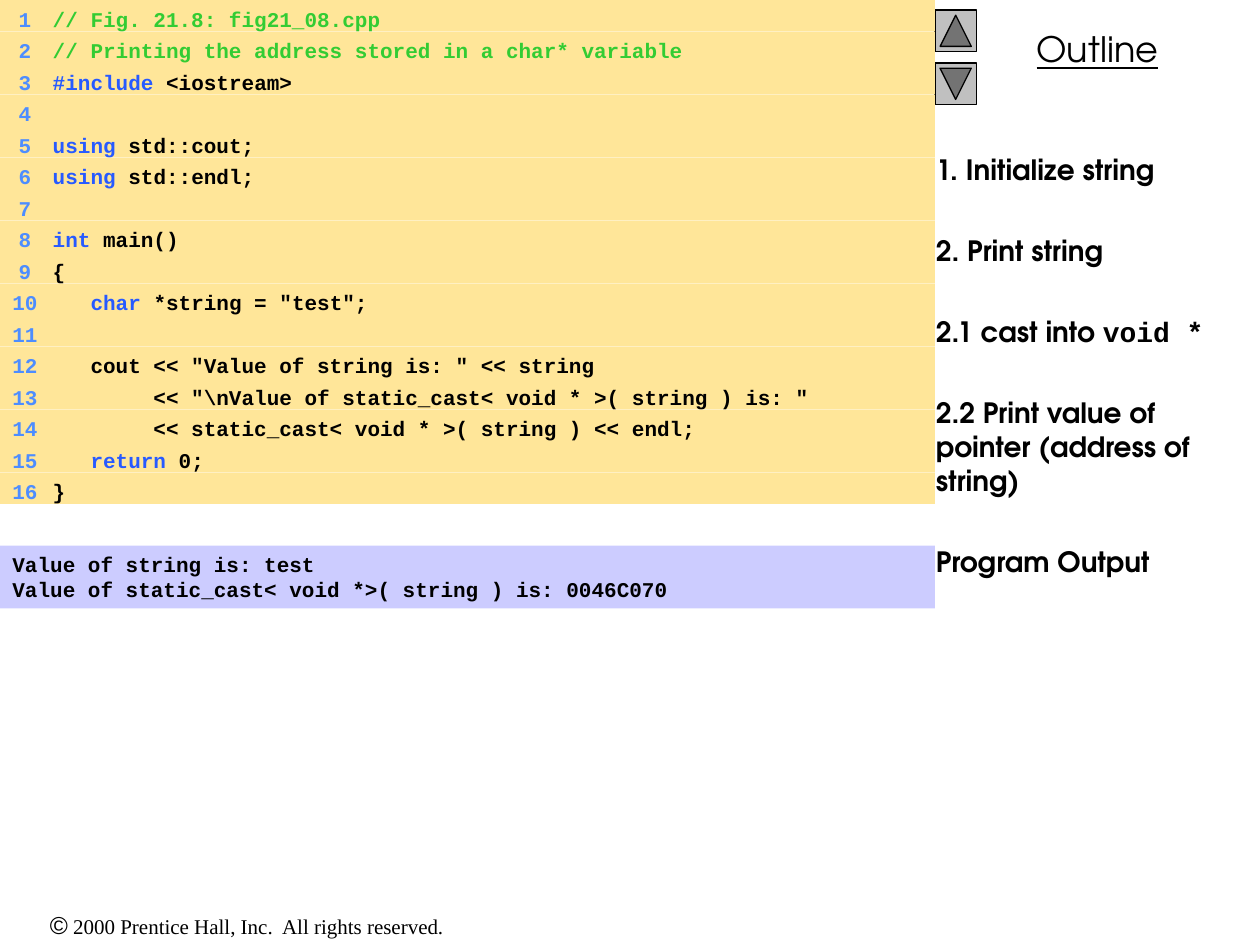
from lxml import etree
from pptx import Presentation
from pptx import util as u
from pptx.dml.color import RGBColor
from pptx.enum import shapes, text
from pptx.oxml.ns import qn

HEADING, CODE, SERIF, SANS = "TeX Gyre Adventor", "Courier New", "Times New Roman", "Arial"
BLACK, NUMBER, KEYWORD, COMMENT = "000000", "4D8DFF", "275AFF", "33CC33"
CODE_FILL, OUTPUT_FILL, BUTTON_FILL = "FFE699", "CCCCFF", "C0C0C0"
PANEL_WIDTH, ROW_HEIGHT = 7.42, 0.25

CODE_LINES = [
    [("// Fig. 21.8: fig21_08.cpp", COMMENT)],
    [("// Printing the address stored in a char* variable", COMMENT)],
    [("#include", KEYWORD), (" <iostream>", BLACK)],
    [],
    [("using", KEYWORD), (" std::cout;", BLACK)],
    [("using", KEYWORD), (" std::endl;", BLACK)],
    [],
    [("int", KEYWORD), (" main()", BLACK)],
    [("{", BLACK)],
    [("   char", KEYWORD), (' *string = "test";', BLACK)],
    [],
    [('   cout << "Value of string is: " << string', BLACK)],
    [('        << "\\nValue of static_cast< void * >( string ) is: "', BLACK)],
    [("        << static_cast< void * >( string ) << endl;", BLACK)],
    [("   return", KEYWORD), (" 0;", BLACK)],
    [("}", BLACK)],
]
OUTPUT_LINES = [
    "Value of string is: test",
    "Value of static_cast< void *>( string ) is: 0046C070",
]
OUTLINE = [
    [("1. Initialize string", HEADING)],
    [("2. Print string", HEADING)],
    [("2.1 cast into ", HEADING), ("void *", CODE)],
    [("2.2 Print value of pointer (address of string)", HEADING)],
    [("Program Output", HEADING)],
]


def colour(value):
    """Turn a hex string into a colour."""
    return RGBColor.from_string(value)


class CodeSlide:
    """Holds the slide and draws each kind of element in its style."""

    def __init__(self, presentation):
        """Add a blank slide."""
        self.slide = presentation.slides.add_slide(presentation.slide_layouts[6])

    def run(self, paragraph, words, font, size, hex_colour=BLACK, bold=False):
        """Append a formatted run and return it."""
        run = paragraph.add_run()
        run.text = words
        run.font.name = font
        run.font.size = u.Pt(size)
        run.font.bold = bold
        run.font.color.rgb = colour(hex_colour)
        return run

    def tabs(self, paragraph, stops):
        """Give a paragraph its tab stops."""
        tab_list = etree.SubElement(paragraph._p.get_or_add_pPr(), qn("a:tabLst"))
        for position, alignment in stops:
            etree.SubElement(tab_list, qn("a:tab"), pos=str(u.Inches(position)), algn=alignment)

    def text_box(self, left, top, width, height):
        """Add a wrapping text box and return its frame."""
        box = self.slide.shapes.add_textbox(*map(u.Inches, (left, top, width, height)))
        box.text_frame.word_wrap = True
        return box.text_frame

    def shape(self, kind, left, top, width, height, fill, line=None):
        """Add a flat preset shape."""
        shape = self.slide.shapes.add_shape(kind, *map(u.Inches, (left, top, width, height)))
        shape.shadow.inherit = False
        shape.fill.solid()
        shape.fill.fore_color.rgb = colour(fill)
        if line:
            shape.line.color.rgb = colour(line)
            shape.line.width = u.Pt(0.75)
        else:
            shape.line.fill.background()
        return shape

    def band(self, top, height, fill):
        """Add a full-width code band and return its frame."""
        shape = self.shape(shapes.MSO_SHAPE.RECTANGLE, 0, top, PANEL_WIDTH, height, fill)
        frame = shape.text_frame
        frame.word_wrap = True
        frame.vertical_anchor = text.MSO_ANCHOR.TOP
        frame.paragraphs[0].alignment = text.PP_ALIGN.LEFT
        return frame

    def code_row(self, index, tokens):
        """Add one numbered line of code."""
        paragraph = self.band(index * ROW_HEIGHT, ROW_HEIGHT, CODE_FILL).paragraphs[0]
        self.tabs(paragraph, [(0, "l"), (0.15, "r"), (0.32, "l"), (1, "l")])
        for words, hex_colour in [(f"\t{index + 1}\t", NUMBER), *tokens]:
            self.run(paragraph, words, CODE, 12, hex_colour, True)

    def output(self, lines):
        """Add the program output."""
        frame = self.band(4.33, 0.5, OUTPUT_FILL)
        frame.text = "\n".join(lines)
        for paragraph in frame.paragraphs:
            paragraph.alignment = text.PP_ALIGN.LEFT
            font = paragraph.runs[0].font
            font.name, font.size, font.bold = CODE, u.Pt(12), True
            font.color.rgb = colour(BLACK)

    def button(self, top, rotation):
        """Add a bevelled scroll button."""
        kind = shapes.MSO_SHAPE.ACTION_BUTTON_BACK_OR_PREVIOUS
        self.shape(kind, PANEL_WIDTH, top, 0.33, 0.33, BUTTON_FILL, BLACK).rotation = rotation

    def title(self, words):
        """Add the underlined outline heading."""
        paragraph = self.text_box(PANEL_WIDTH, 0.17, 2.58, 0.44).paragraphs[0]
        paragraph.alignment = text.PP_ALIGN.CENTER
        self.run(paragraph, words, HEADING, 20).font.underline = True

    def outline(self, items):
        """Add the outline entries with even gaps."""
        frame = self.text_box(7.33, 1.16, 2.67, 6.34)
        for index, pieces in enumerate(items):
            paragraph = frame.add_paragraph() if index else frame.paragraphs[0]
            if index:
                paragraph.space_before = u.Pt(27.2)
            for words, font in pieces:
                self.run(paragraph, words, font, 16, bold=True)

    def footer(self):
        """Add the copyright line."""
        paragraph = self.text_box(0, 7.17, 3.92, 0.34).paragraphs[0]
        paragraph.alignment = text.PP_ALIGN.CENTER
        self.run(paragraph, "©", SANS, 14)
        self.run(paragraph, " 2000 Prentice Hall, Inc.  All rights reserved.", SERIF, 12)


def main():
    """Build and save the slide."""
    presentation = Presentation()
    presentation.slide_width, presentation.slide_height = u.Inches(10), u.Inches(7.5)
    slide = CodeSlide(presentation)
    slide.footer()
    slide.title("Outline")
    slide.button(0.08, 90)
    slide.button(0.5, 270)
    slide.outline(OUTLINE)
    for index, tokens in enumerate(CODE_LINES):
        slide.code_row(index, tokens)
    slide.output(OUTPUT_LINES)
    presentation.save("out.pptx")


if __name__ == "__main__":
    main()
